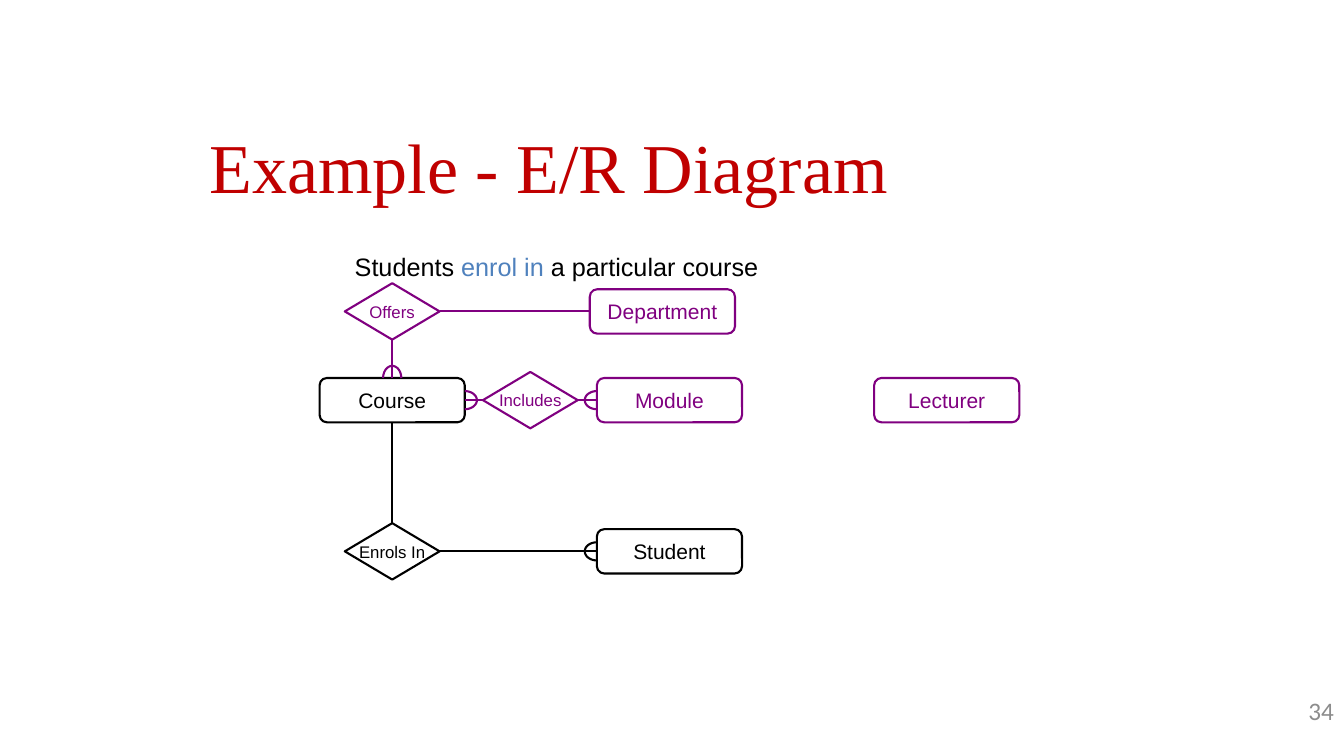
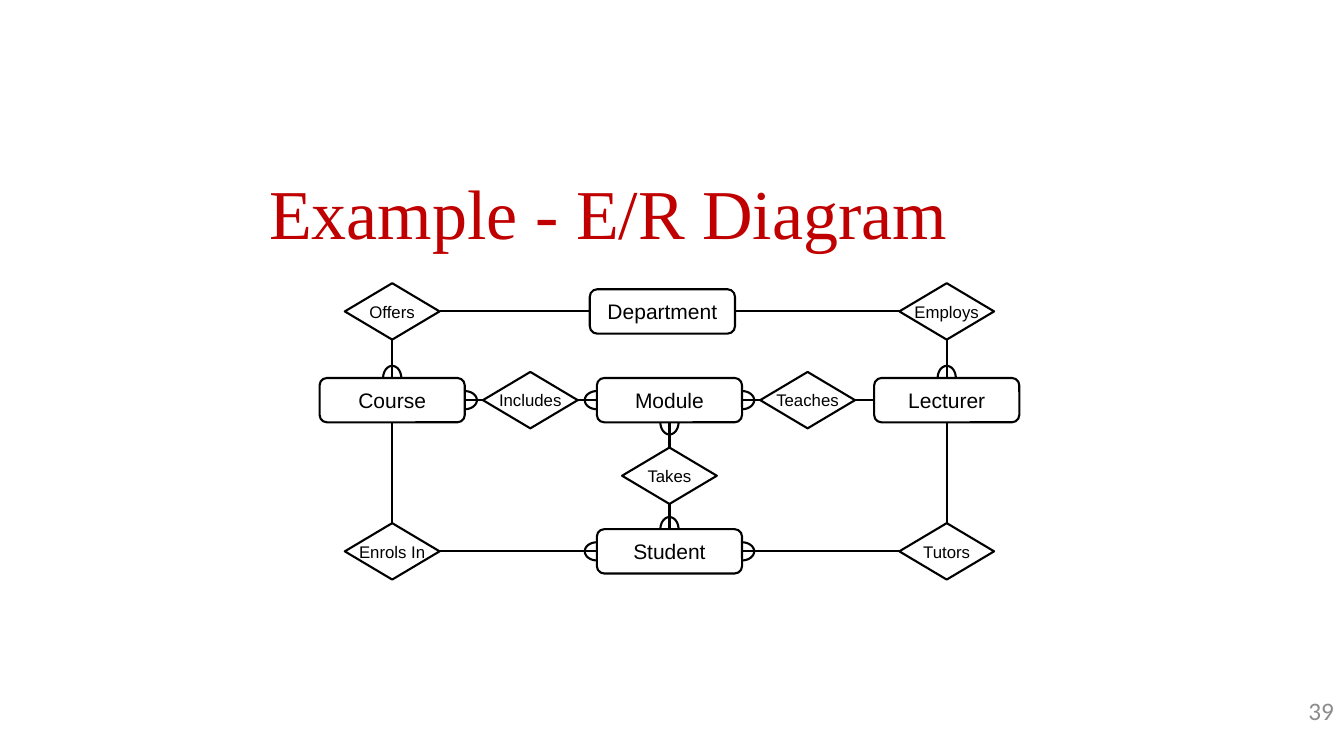
"""Build two slides of an entity-relationship diagram for a university."""
from dataclasses import dataclass
from math import cos, pi, sin

from pptx import Presentation
from pptx.dml.color import RGBColor
from pptx.enum.shapes import MSO_CONNECTOR, MSO_SHAPE
from pptx.enum.text import MSO_ANCHOR, MSO_AUTO_SIZE, PP_ALIGN
from pptx.oxml.ns import qn
from pptx.shapes.autoshape import Shape
from pptx.slide import Slide
from pptx.text.text import TextFrame
from pptx.util import Inches, Pt
from lxml import etree

ROUNDED, DIAMOND = MSO_SHAPE.ROUNDED_RECTANGLE, MSO_SHAPE.DIAMOND
STRAIGHT = MSO_CONNECTOR.STRAIGHT
TOP_ANCHOR, MIDDLE = MSO_ANCHOR.TOP, MSO_ANCHOR.MIDDLE
FIT_SHAPE = MSO_AUTO_SIZE.SHAPE_TO_FIT_TEXT
LEFT_ALIGN, CENTER, RIGHT_ALIGN = PP_ALIGN.LEFT, PP_ALIGN.CENTER, PP_ALIGN.RIGHT

COLORS = {
    "title": "C00000",
    "ink": "000000",
    "muted": "800080",
    "highlight": "4F81BD",
    "number": "8C8C8C",
}
TITLE_FONT, BODY_FONT, NUMBER_FONT = "Times New Roman", "Arial", "Calibri"
LINE_WIDTH = Pt(1.5)
ARC_DEPTH, ARC_HALF_WIDTH, ARC_STEPS = 0.12, 0.09, 24

TOP, LEFT, BOTTOM, RIGHT = range(4)
DIRECTIONS = {TOP: (0, -1), LEFT: (-1, 0), BOTTOM: (0, 1), RIGHT: (1, 0)}
COLUMNS = (3.89, 5.26, 6.64, 8.01, 9.39)
ROWS = (3.09, 3.97, 4.72, 5.47)


@dataclass(frozen=True)
class NodeStyle:
    preset: int
    width: float
    height: float
    font_size: int


@dataclass(frozen=True)
class Node:
    name: str
    x: float
    y: float


@dataclass(frozen=True)
class Link:
    relationship: str
    entity: str
    entity_side: int
    many: bool = False


@dataclass(frozen=True)
class DiagramSlide:
    title_box: tuple[float, float, float, float]
    number: str
    relationships: frozenset[str]
    muted: frozenset[str] = frozenset()
    statement: tuple[tuple[str, str], ...] = ()


ENTITY_STYLE = NodeStyle(ROUNDED, 1.44, 0.44, 15)
RELATIONSHIP_STYLE = NodeStyle(DIAMOND, 0.94, 0.56, 12)
ENTITIES = (
    Node("Module", COLUMNS[2], ROWS[1]),
    Node("Course", COLUMNS[0], ROWS[1]),
    Node("Department", 6.57, ROWS[0]),
    Node("Student", COLUMNS[2], ROWS[3]),
    Node("Lecturer", COLUMNS[4], ROWS[1]),
)
RELATIONSHIPS = (
    Node("Includes", COLUMNS[1], ROWS[1]),
    Node("Offers", COLUMNS[0], ROWS[0]),
    Node("Tutors", COLUMNS[4], ROWS[3]),
    Node("Enrols In", COLUMNS[0], ROWS[3]),
    Node("Takes", COLUMNS[2], ROWS[2]),
    Node("Employs", COLUMNS[4], ROWS[0]),
    Node("Teaches", COLUMNS[3], ROWS[1]),
)
LINKS = (
    Link("Includes", "Course", RIGHT, many=True),
    Link("Includes", "Module", LEFT, many=True),
    Link("Teaches", "Module", RIGHT, many=True),
    Link("Teaches", "Lecturer", LEFT),
    Link("Employs", "Lecturer", TOP, many=True),
    Link("Employs", "Department", RIGHT),
    Link("Offers", "Department", LEFT),
    Link("Offers", "Course", TOP, many=True),
    Link("Enrols In", "Course", BOTTOM),
    Link("Enrols In", "Student", LEFT, many=True),
    Link("Takes", "Student", TOP, many=True),
    Link("Takes", "Module", BOTTOM, many=True),
    Link("Tutors", "Student", RIGHT, many=True),
    Link("Tutors", "Lecturer", BOTTOM),
)
SLIDES = (
    DiagramSlide(
        title_box=(2.08, 1.15, 8.58, 1.68),
        number="34",
        relationships=frozenset({"Includes", "Offers", "Enrols In"}),
        muted=frozenset({"Includes", "Offers", "Module", "Department", "Lecturer"}),
        statement=(
            ("Students ", "ink"),
            ("enrol in", "highlight"),
            (" a particular course", "ink"),
        ),
    ),
    DiagramSlide(
        title_box=(2.67, 1.6, 8.67, 1.68),
        number="39",
        relationships=frozenset(node.name for node in RELATIONSHIPS),
    ),
)


def rgb(color: str) -> RGBColor:
    return RGBColor.from_string(COLORS[color])


def format_text(frame: TextFrame, font: str, size: int, color: str, align: int) -> None:
    for paragraph in frame.paragraphs:
        paragraph.alignment = align
        for run in paragraph.runs:
            run.font.name = font
            run.font.size = Pt(size)
            run.font.color.rgb = rgb(color)


def fit_frame(frame: TextFrame, top_margin: float = 0) -> None:
    frame.margin_left = frame.margin_right = frame.margin_bottom = 0
    frame.margin_top = Inches(top_margin)
    frame.vertical_anchor = TOP_ANCHOR
    frame.word_wrap = True
    frame.auto_size = FIT_SHAPE


def outline(shape: Shape, color: str) -> None:
    shape.shadow.inherit = False
    shape.fill.background()
    shape.line.color.rgb = rgb(color)
    shape.line.width = LINE_WIDTH


def add_title(slide: Slide, box: tuple[float, float, float, float]) -> None:
    title = slide.shapes.title
    title.left, title.top, title.width, title.height = map(Inches, box)
    title.text_frame.text = "Example - E/R Diagram"
    fit_frame(title.text_frame, top_margin=0.08)
    format_text(title.text_frame, TITLE_FONT, 50, "title", LEFT_ALIGN)


def add_number(slide: Slide, number: str) -> None:
    box = slide.shapes.add_textbox(Inches(12.56), Inches(6.9), Inches(0.67), Inches(0.52))
    box.text_frame.text = number
    fit_frame(box.text_frame)
    format_text(box.text_frame, NUMBER_FONT, 18, "number", RIGHT_ALIGN)


def add_statement(slide: Slide, parts: tuple[tuple[str, str], ...]) -> None:
    box = slide.shapes.add_textbox(Inches(3.42), Inches(2.44), Inches(6.5), Inches(0.4))
    frame = box.text_frame
    frame.word_wrap = True
    frame.auto_size = FIT_SHAPE
    paragraph = frame.paragraphs[0]
    for text, _ in parts:
        paragraph.add_run().text = text
    format_text(frame, BODY_FONT, 18, "ink", LEFT_ALIGN)
    for run, (_, color) in zip(paragraph.runs, parts):
        run.font.color.rgb = rgb(color)


def add_node(slide: Slide, node: Node, style: NodeStyle, color: str) -> Shape:
    shape = slide.shapes.add_shape(
        style.preset,
        Inches(node.x - style.width / 2),
        Inches(node.y - style.height / 2),
        Inches(style.width),
        Inches(style.height),
    )
    outline(shape, color)
    frame = shape.text_frame
    frame.text = node.name
    frame.word_wrap = False
    frame.vertical_anchor = MIDDLE
    format_text(frame, BODY_FONT, style.font_size, color, CENTER)
    return shape


def add_many_arc(slide: Slide, entity: Shape, side: int, color: str) -> None:
    across, down = DIRECTIONS[side]
    center_x = entity.left + entity.width * (1 + across) / 2
    center_y = entity.top + entity.height * (1 + down) / 2
    points = []
    for step in range(ARC_STEPS + 1):
        angle = pi * (step / ARC_STEPS - 0.5)
        outward = Inches(ARC_DEPTH * cos(angle))
        sideways = Inches(ARC_HALF_WIDTH * sin(angle))
        points.append((
            center_x + across * outward - down * sideways,
            center_y + down * outward + across * sideways,
        ))
    builder = slide.shapes.build_freeform(*points[0])
    builder.add_line_segments(points[1:], close=False)
    outline(builder.convert_to_shape(), color)


def add_link(slide: Slide, link: Link, nodes: dict[str, Shape], color: str) -> None:
    entity = nodes[link.entity]
    connector = slide.shapes.add_connector(STRAIGHT, 0, 0, 0, 0)
    connector.begin_connect(entity, link.entity_side)
    connector.end_connect(nodes[link.relationship], (link.entity_side + 2) % 4)
    connector.line.color.rgb = rgb(color)
    connector.line.width = LINE_WIDTH
    etree.SubElement(connector._element.spPr, qn("a:effectLst"))
    if link.many:
        add_many_arc(slide, entity, link.entity_side, color)


def add_diagram(slide: Slide, content: DiagramSlide) -> None:
    def color_of(name: str) -> str:
        return "muted" if name in content.muted else "ink"

    nodes = {
        node.name: add_node(slide, node, ENTITY_STYLE, color_of(node.name))
        for node in ENTITIES
    }
    for node in RELATIONSHIPS:
        if node.name in content.relationships:
            nodes[node.name] = add_node(
                slide, node, RELATIONSHIP_STYLE, color_of(node.name)
            )
    for link in LINKS:
        if link.relationship in content.relationships:
            add_link(slide, link, nodes, color_of(link.relationship))


def main() -> None:
    presentation = Presentation()
    presentation.slide_width = Inches(13.33)
    presentation.slide_height = Inches(7.5)
    title_only = presentation.slide_layouts[5]
    for content in SLIDES:
        slide = presentation.slides.add_slide(title_only)
        add_title(slide, content.title_box)
        add_number(slide, content.number)
        add_diagram(slide, content)
        if content.statement:
            add_statement(slide, content.statement)
    presentation.save("out.pptx")


if __name__ == "__main__":
    main()
